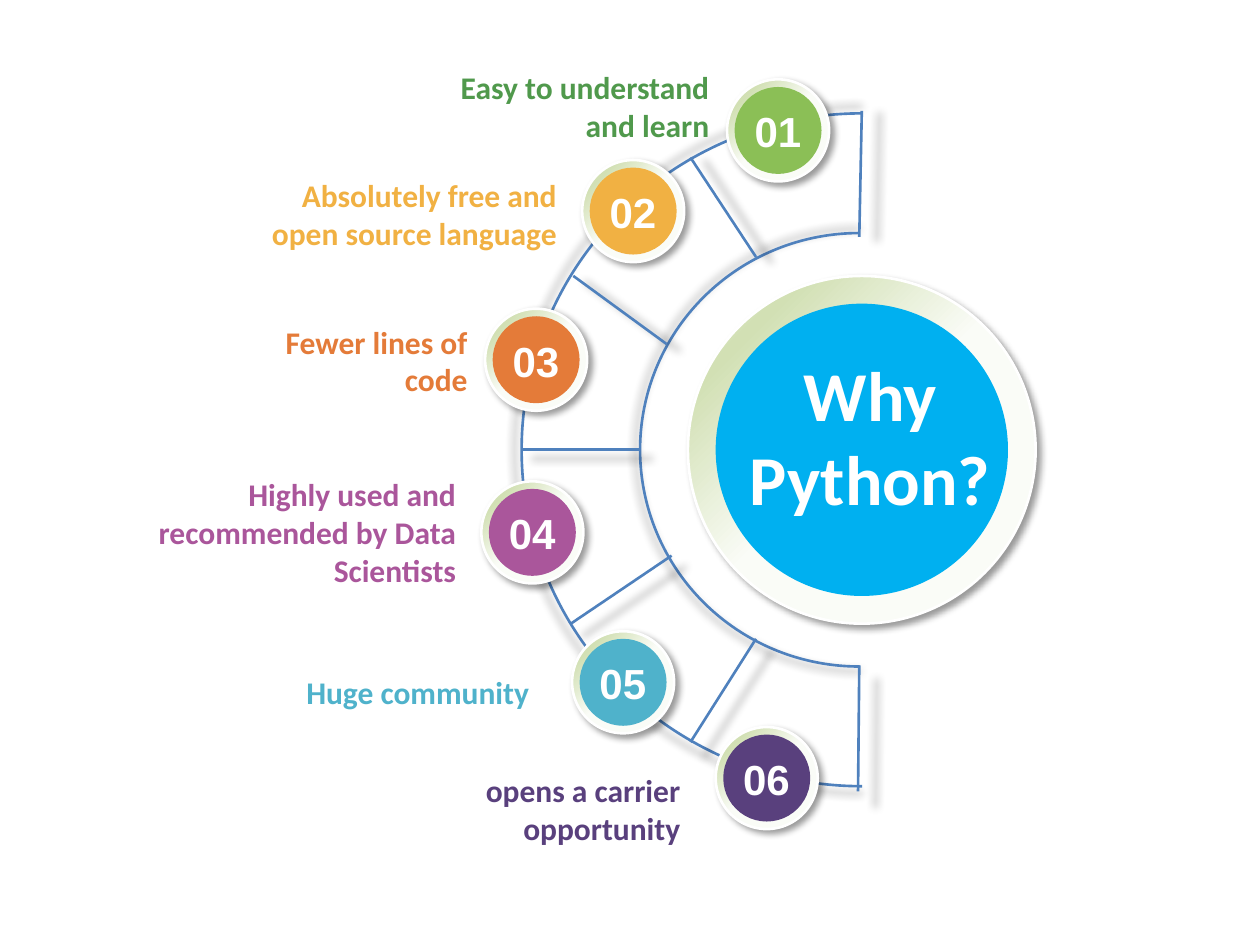
from lxml import etree
from pptx import Presentation
from pptx import util as u
from pptx.dml.color import RGBColor
from pptx.enum import shapes, text
from pptx.oxml import parse_xml
from pptx.oxml.ns import nsdecls, qn

PX = 9144
COLORS = {
    "white": "FFFFFF", "shadow": "000000", "hub": "00B0F0", "line": "4F81BD",
    "green": "8BBF56", "dark_green": "50994C", "amber": "F1B143",
    "orange": "E47B39", "magenta": "AA569B", "teal": "4FB2CB", "purple": "59407D",
}
RIM_STOPS = ((51, "FAFCF7"), (83, "D2E0B4"), (100, "E1EBCD"))
SOFT_GLOW = {"blurRad": 63500, "sx": 102000, "sy": 102000, "algn": "ctr"}
DROP_SHADOW = {"blurRad": 50800, "dist": 38100, "dir": 2700000, "algn": "tl"}
SPOKES = (
    (268, 98, 270, -2), (186, 114, 134, 35), (115, 183, 41, 129),
    (94, 267, 0, 267), (119, 351, 39, 405), (186, 417, 134, 499),
    (267, 538, 268, 438),
)
ITEMS = (
    ("Easy to understand and learn", (577, 63), (347, 52, 221, 65), "green", "dark_green"),
    ("Absolutely free and open source language", (462, 127), (189, 138, 258, 65), "amber", "amber"),
    ("Fewer lines of code", (385, 245), (187, 254, 189, 65), "orange", "orange"),
    ("Highly used and recommended by Data Scientists", (382, 382), (112, 375, 255, 96), "magenta", "magenta"),
    ("Huge community", (454, 501), (172, 532, 253, 35), "teal", "teal"),
    ("opens a carrier opportunity", (568, 577), (357, 610, 188, 65), "purple", "purple"),
)


def px(*lengths):
    """Turn px lengths into EMU."""
    return [u.Emu(length * PX) for length in lengths]


def color(name):
    """Look up a named colour."""
    return RGBColor.from_string(COLORS[name])


def add_outline(shape, name):
    """Give a shape a 1.5 pt line."""
    shape.line.color.rgb = color(name)
    shape.line.width = u.Pt(1.5)


def add_shadow(shape, settings):
    """Give a shape an outer shadow at 40 % opacity."""
    effects = etree.SubElement(shape._element.spPr, qn("a:effectLst"))
    shadow = etree.SubElement(effects, qn("a:outerShdw"), rotWithShape="0")
    for key, value in settings.items():
        shadow.set(key, str(value))
    tint = etree.SubElement(shadow, qn("a:srgbClr"), val=COLORS["shadow"])
    etree.SubElement(tint, qn("a:alpha"), val="40000")


def add_text(slide, box, words, size, font, name, align=None, margins=None):
    """Add a bold one-run text box."""
    frame = slide.shapes.add_textbox(*px(*box)).text_frame
    frame.word_wrap = True
    frame.auto_size = text.MSO_AUTO_SIZE.SHAPE_TO_FIT_TEXT
    if margins:
        frame.margin_left = frame.margin_right = px(margins[0])[0]
        frame.margin_top = frame.margin_bottom = px(margins[1])[0]
    paragraph = frame.paragraphs[0]
    paragraph.alignment = align
    run = paragraph.add_run()
    run.text = words
    run.font.size = u.Pt(size)
    run.font.name = font
    run.font.bold = True
    run.font.color.rgb = color(name)


def add_disc(slide, box, inset, fill):
    """Add a shaded rim with a flat disc inside it."""
    left, top, size = box
    rim = slide.shapes.add_shape(shapes.MSO_SHAPE.OVAL, *px(left, top, size, size))
    stops = "".join(
        f'<a:gs pos="{position * 1000}"><a:srgbClr val="{value}"/></a:gs>'
        for position, value in RIM_STOPS
    )
    gradient = parse_xml(
        f'<a:gradFill {nsdecls("a")} rotWithShape="1"><a:gsLst>{stops}</a:gsLst>'
        '<a:path path="circle"><a:fillToRect l="100000" t="100000"/></a:path>'
        '<a:tileRect r="-100000" b="-100000"/></a:gradFill>'
    )
    rim._element.spPr.find(qn("a:prstGeom")).addnext(gradient)
    add_outline(rim, "white")
    add_shadow(rim, DROP_SHADOW)
    inner = size - 2 * inset
    disc = slide.shapes.add_shape(
        shapes.MSO_SHAPE.OVAL, *px(left + inset, top + inset, inner, inner))
    disc.fill.solid()
    disc.fill.fore_color.rgb = color(fill)
    disc.line.fill.background()
    disc.shadow.inherit = False


def add_hub(slide, box):
    """Add the central disc with the title."""
    left, top, _ = box
    add_disc(slide, box, 22, "hub")
    add_text(slide, (left + 37, top + 55, 215, 145), "Why Python?", 40, "Calibri",
             "white", text.PP_ALIGN.CENTER)


def add_ring(slide, box):
    """Add two half-circle arcs joined by spokes."""
    left, top, width, height = box
    for arc_box in ((left + 94, top + 95, 348, 344), (left, top, width, height)):
        arc = slide.shapes.add_shape(shapes.MSO_SHAPE.ARC, *px(*arc_box))
        arc.adjustments[0] = 162
        arc.adjustments[1] = 54.04
        arc._element.spPr.find(qn("a:xfrm")).set("flipH", "1")
        arc.fill.background()
        add_outline(arc, "line")
        add_shadow(arc, SOFT_GLOW)
    for x1, y1, x2, y2 in SPOKES:
        spoke = slide.shapes.add_connector(
            shapes.MSO_CONNECTOR.STRAIGHT,
            *px(left + x1, top + y1, left + x2, top + y2))
        add_outline(spoke, "line")
        add_shadow(spoke, SOFT_GLOW)


def add_item(slide, badge, label_box, number, words, fill, ink):
    """Add a numbered badge and its right-aligned label."""
    left, top = badge
    add_disc(slide, (left, top, 81), 6, fill)
    add_text(slide, (left + 12, top + 16, 64, 50), f"{number:02}", 24, "Arial", "white")
    add_text(slide, label_box, words, 18, "Calibri", ink,
             text.PP_ALIGN.RIGHT, (5, 2))


def main():
    """Build and save the slide."""
    presentation = Presentation()
    presentation.slide_width, presentation.slide_height = px(1000, 750)
    slide = presentation.slides.add_slide(presentation.slide_layouts[6])
    add_hub(slide, (546, 219, 276))
    add_ring(slide, (414, 90, 540, 534))
    for number, (words, badge, label_box, fill, ink) in enumerate(ITEMS, 1):
        add_item(slide, badge, label_box, number, words, fill, ink)
    presentation.save("out.pptx")


if __name__ == "__main__":
    main()
